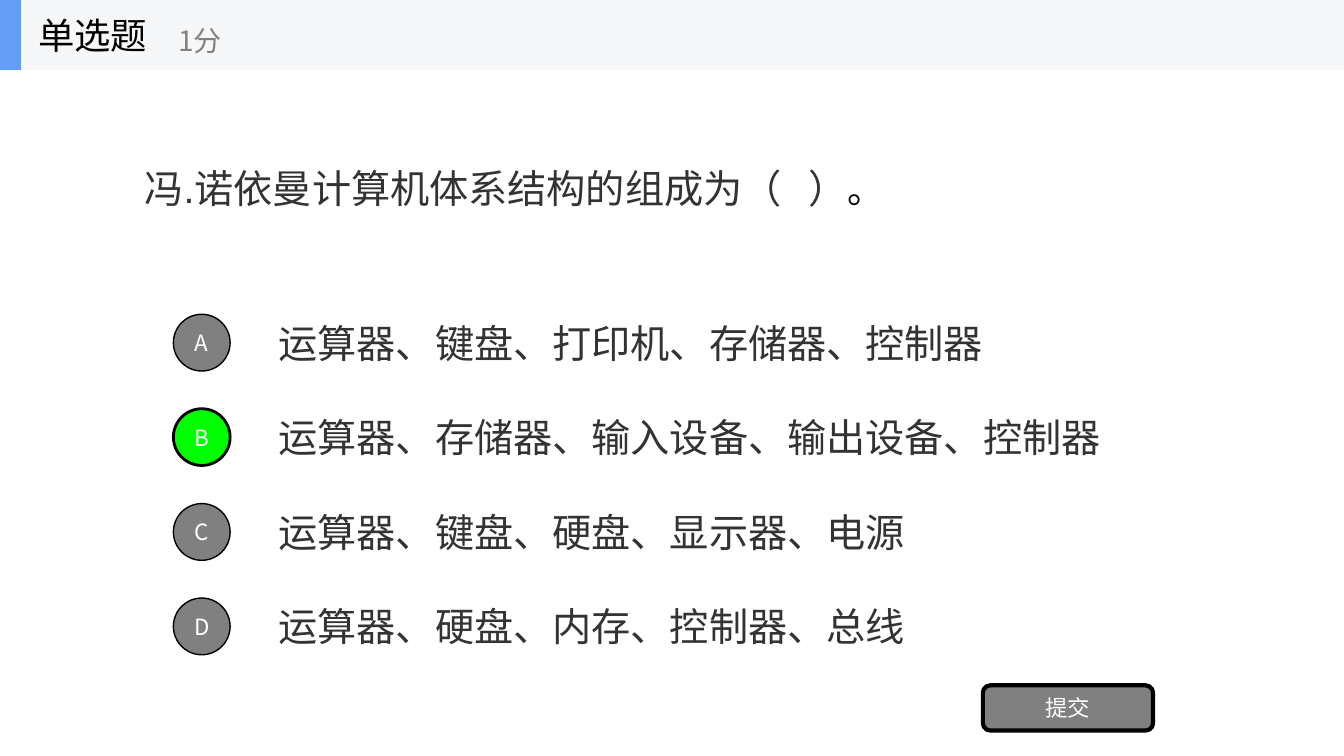
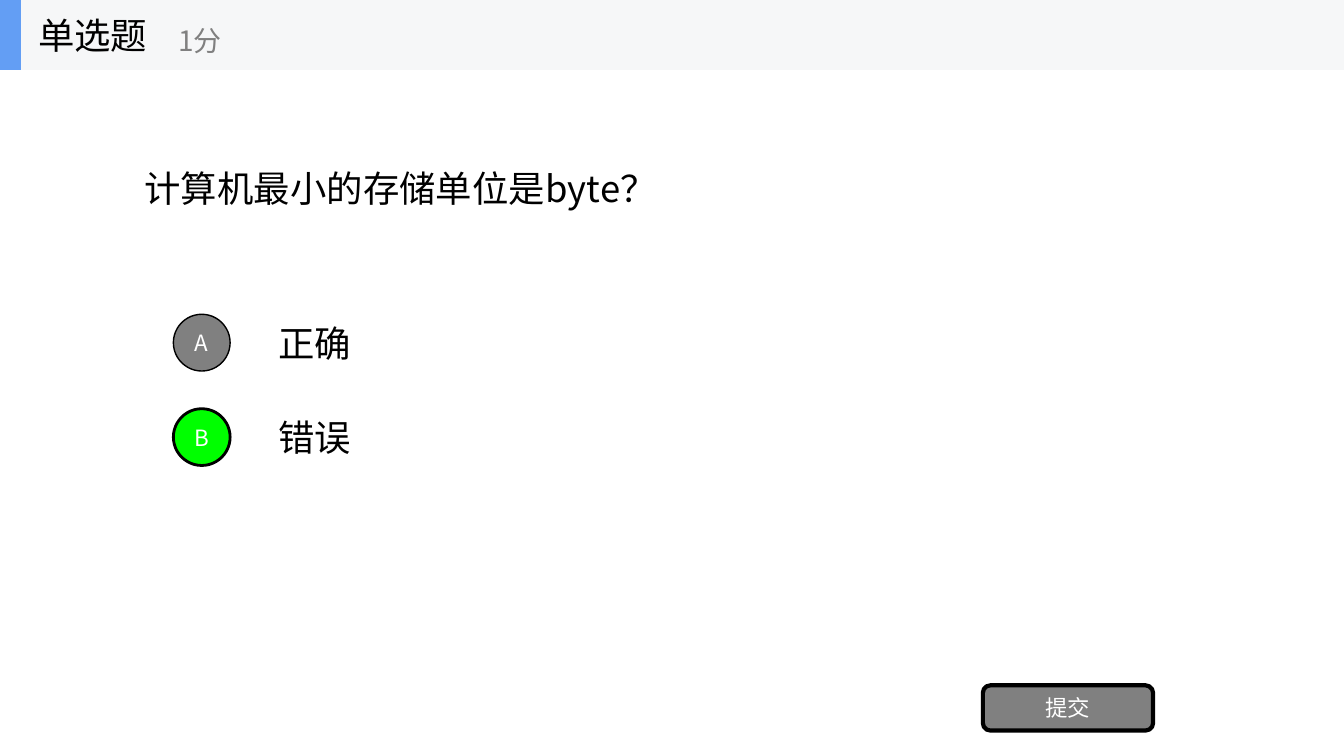
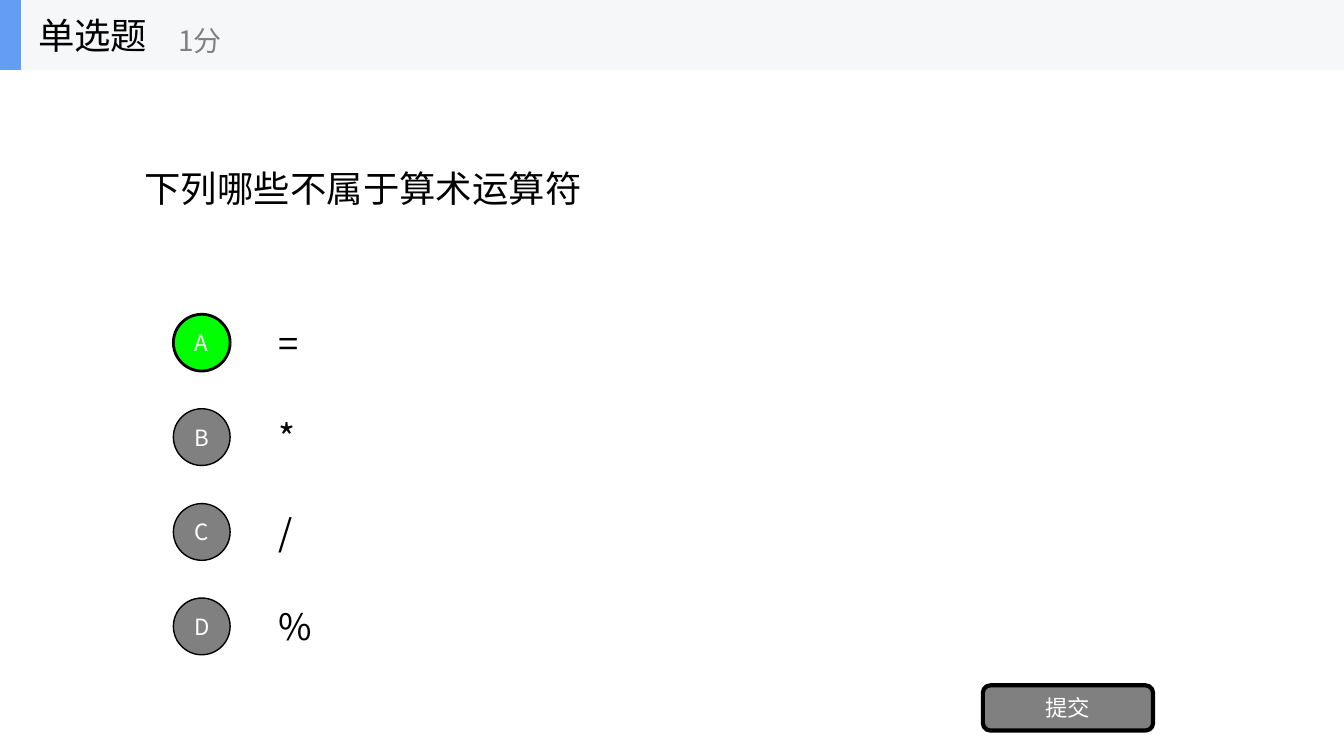
from lxml.etree import SubElement
from pptx import Presentation
from pptx.dml.color import RGBColor
from pptx.enum.shapes import MSO_SHAPE as Kind
from pptx.enum.text import MSO_ANCHOR as Anchor, MSO_AUTO_SIZE as Fit, PP_ALIGN as Align
from pptx.oxml.ns import qn
from pptx.util import Cm, Pt

BLACK = RGBColor(0x00, 0x00, 0x00)
WHITE = RGBColor(0xFF, 0xFF, 0xFF)
GREY = RGBColor(0x80, 0x80, 0x80)
DARK = RGBColor(0x33, 0x33, 0x33)
GREEN = RGBColor(0x00, 0xFF, 0x00)
PALE = RGBColor(0xF6, 0xF7, 0xF8)
BLUE = RGBColor(0x63, 0x9E, 0xF4)

HAN = "Noto Sans CJK SC"
WIDE, HIGH = 33.87, 19.05
BAND = (0, 0, WIDE, 1.76)
ASK = (3.39, 1.76, 27.09, 5.95)
LIST = (4.37, 7.75, 26.11, 1.78)
SEND = (24.77, 17.27, 4.29, 1.14)
PITCH = 2.38

PLAIN = dict(size=26, font=HAN, color=BLACK)
LATIN = dict(size=28, font="Arial", color=DARK)
LABEL = dict(size=16, color=WHITE, align=Align.CENTER)

QUIZ = [
    dict(ask=[("冯.诺依曼计算机体系结构的组成为（   ）", LATIN), ("。", PLAIN)],
         picks=["运算器、键盘、打印机、存储器、控制器",
                "运算器、存储器、输入设备、输出设备、控制器",
                "运算器、键盘、硬盘、显示器、电源",
                "运算器、硬盘、内存、控制器、总线"],
         right="B", style=LATIN),
    dict(ask=[("计算机最小的存储单位是byte？", PLAIN)],
         picks=["正确", "错误"], right="B", style=PLAIN),
    dict(ask=[("下列哪些不属于算术运算符", PLAIN)],
         picks=["=", "*", "/", "%"], right="A", style=PLAIN),
]


def place(box):
    return [Cm(round(n, 2)) for n in box]


def write(shape, text, size=26, font=HAN, color=BLACK, align=Align.LEFT):
    frame = shape.text_frame
    frame.word_wrap = True
    frame.auto_size = Fit.NONE
    frame.vertical_anchor = Anchor.MIDDLE
    para = frame.paragraphs[0]
    para.alignment = align
    run = para.add_run()
    run.text = text
    run.font.size = Pt(size)
    run.font.name = font
    run.font.color.rgb = color
    SubElement(run.font._element, qn("a:ea")).set("typeface", HAN)


def label(shapes, box, text, **style):
    write(shapes.add_textbox(*place(box)), text, **style)


def draw(shapes, kind, box, fill, line=0):
    shape = shapes.add_shape(kind, *place(box))
    shape.shadow.inherit = False
    shape.fill.solid()
    shape.fill.fore_color.rgb = fill
    if line:
        shape.line.color.rgb = BLACK
        shape.line.width = Pt(line)
    else:
        shape.line.fill.background()
    frame = shape.text_frame
    frame.margin_left = frame.margin_right = 0
    frame.margin_top = frame.margin_bottom = 0
    return shape


def header(slide, box):
    left, top, width, height = box
    parts = slide.shapes.add_group_shape().shapes
    draw(parts, Kind.RECTANGLE, box, PALE)
    draw(parts, Kind.RECTANGLE, (left, top, 0.53, height), BLUE)
    label(parts, (left + 0.71, top, 5.28, height), "单选题")
    label(parts, (left + 4.24, top + 0.31, 6.35, 1.42), "1分", size=20, color=GREY)


def question(slide, box, runs):
    title = slide.shapes.title
    title.left, title.top, title.width, title.height = place(box)
    for text, style in runs:
        write(title, text, **style)


def option(slide, box, mark, text, right, style):
    left, top, width, height = box
    label(slide.shapes, (left + 2.4, top, width - 2.4, height), text, **style)
    side = 1.43
    badge = draw(slide.shapes, Kind.OVAL,
                 (left, top + (height - side) / 2, side, side),
                 GREEN if right else GREY, 2 if right else 1)
    write(badge, mark, **LABEL)


def options(slide, box, picks, right, style):
    left, top, width, height = box
    for row, (mark, text) in enumerate(zip("ABCD", picks)):
        option(slide, (left, top + row * PITCH, width, height),
               mark, text, mark == right, style)


def button(slide, box):
    write(draw(slide.shapes, Kind.ROUNDED_RECTANGLE, box, GREY, 3), "提交", **LABEL)


def page(deck, ask, picks, right, style):
    slide = deck.slides.add_slide(deck.slide_layouts[5])
    question(slide, ASK, ask)
    options(slide, LIST, picks, right, style)
    button(slide, SEND)
    header(slide, BAND)


def main():
    deck = Presentation()
    deck.slide_width, deck.slide_height = place((WIDE, HIGH))
    for item in QUIZ:
        page(deck, **item)
    deck.save("out.pptx")


if __name__ == "__main__":
    main()
